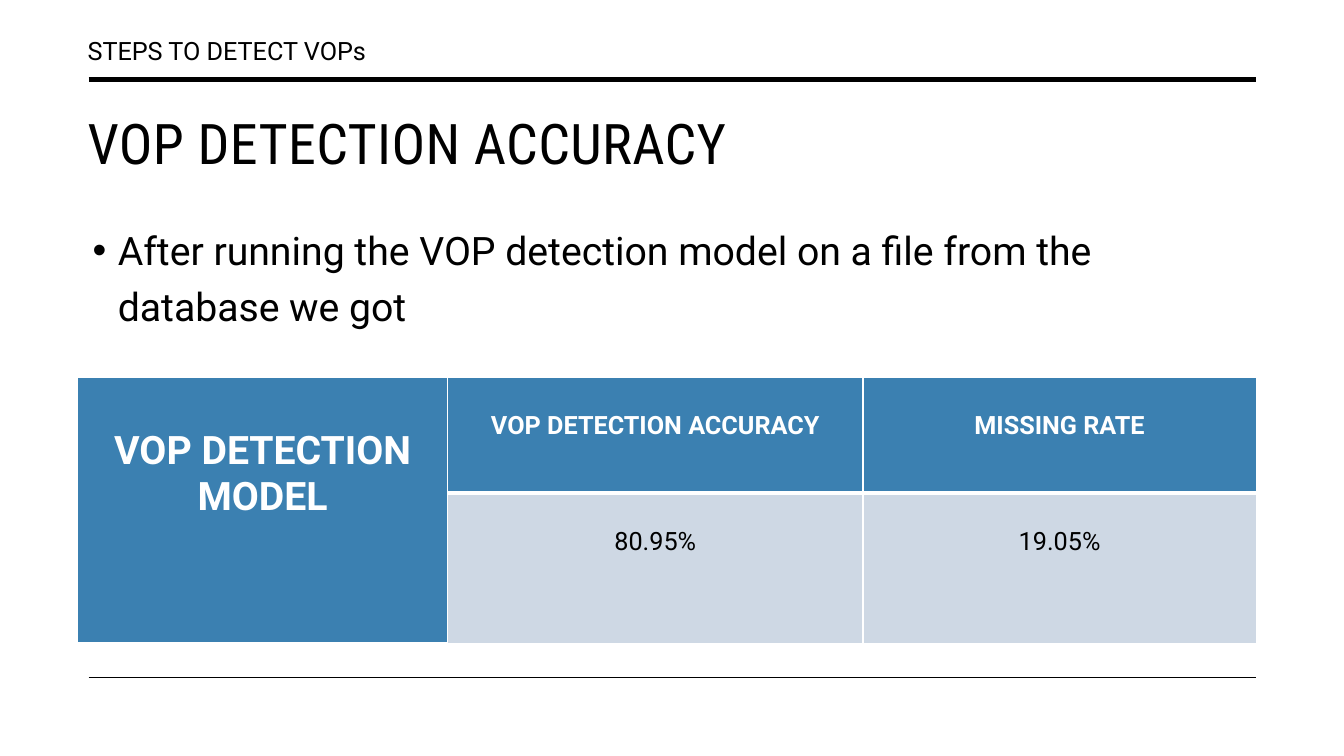
"""Build the VOP detection accuracy slide."""
from dataclasses import dataclass

from lxml.etree import SubElement
from pptx import Presentation
from pptx.dml.color import RGBColor
from pptx.enum.shapes import MSO_CONNECTOR
from pptx.enum.text import MSO_ANCHOR, PP_ALIGN
from pptx.oxml.ns import qn
from pptx.util import Inches, Pt


@dataclass(frozen=True)
class Theme:
    ink: RGBColor = RGBColor(0x00, 0x00, 0x00)
    paper: RGBColor = RGBColor(0xFF, 0xFF, 0xFF)
    header: RGBColor = RGBColor(0x3B, 0x80, 0xB1)
    value: RGBColor = RGBColor(0xCE, 0xD8, 0xE4)
    font: str = "Roboto"
    title_font: str = "Roboto Condensed"
    title_size: int = 40
    large_size: int = 28
    small_size: int = 18


class SlideBuilder:
    def __init__(self, page, theme):
        self.page = page
        self.theme = theme

    def rule(self, left, right, top, weight):
        line = self.page.shapes.add_connector(
            MSO_CONNECTOR.STRAIGHT, Inches(left), Inches(top), Inches(right), Inches(top))
        line.line.color.rgb = self.theme.ink
        line.line.width = Pt(weight)
        SubElement(line._element.spPr, qn("a:effectLst"))

    def style(self, para, size, color, font=None, bold=False):
        for span in para.runs:
            span.font.name = font or self.theme.font
            span.font.size = Pt(size)
            span.font.color.rgb = color
            span.font.bold = bold

    def text(self, words, left, top, width, height, size, font=None):
        box = self.page.shapes.add_textbox(
            Inches(left), Inches(top), Inches(width), Inches(height))
        box.text_frame.word_wrap = True
        box.text_frame.text = words
        para = box.text_frame.paragraphs[0]
        self.style(para, size, self.theme.ink, font)
        return para

    def title(self, words, left, top, width, height):
        para = self.text(words, left, top, width, height,
                         self.theme.title_size, self.theme.title_font)
        para.runs[0].font._element.set("spc", "30")

    def bullet(self, words, left, top, width, height):
        para = self.text(words, left, top, width, height, self.theme.large_size)
        para.line_spacing = 1.2
        para.space_before = Pt(10)
        properties = para._p.get_or_add_pPr()
        properties.set("marL", str(Inches(0.25)))
        properties.set("indent", str(Inches(-0.25)))
        SubElement(properties, qn("a:buFont"), typeface="Arial")
        SubElement(properties, qn("a:buChar"), char="•")

    def table(self, left, top, widths, heights):
        frame = self.page.shapes.add_table(
            len(heights), len(widths), Inches(left), Inches(top),
            Inches(sum(widths)), Inches(sum(heights)))
        for column, width in zip(frame.table.columns, widths):
            column.width = Inches(width)
        for row, height in zip(frame.table.rows, heights):
            row.height = Inches(height)
        return frame.table

    def cell(self, cell, words, size, drop, is_header=True):
        theme = self.theme
        cell.text_frame.text = words
        cell.vertical_anchor = MSO_ANCHOR.TOP
        cell.margin_top = Inches(drop)
        para = cell.text_frame.paragraphs[0]
        para.alignment = PP_ALIGN.CENTER
        self.style(para, size, theme.paper if is_header else theme.ink, bold=is_header)
        self.borders(cell, 3 if is_header else 1, 1 if is_header else 3)
        cell.fill.solid()
        cell.fill.fore_color.rgb = theme.header if is_header else theme.value

    def borders(self, cell, bottom, top):
        properties = cell._tc.get_or_add_tcPr()
        for side, weight in (("L", 1), ("R", 1), ("T", top), ("B", bottom)):
            edge = SubElement(properties, qn(f"a:ln{side}"), w=str(Pt(weight)))
            fill = SubElement(edge, qn("a:solidFill"))
            SubElement(fill, qn("a:srgbClr"), val=str(self.theme.paper))


def main():
    deck = Presentation()
    deck.slide_width, deck.slide_height = Inches(13.33), Inches(7.5)
    theme = Theme()
    slide = SlideBuilder(deck.slides.add_slide(deck.slide_layouts[6]), theme)

    for top, weight in ((0.79, 3.5), (6.72, 1)):
        slide.rule(0.88, 12.46, top, weight)
    slide.text("STEPS TO DETECT VOPs", 0.77, 0.3, 3.41, 0.4, theme.small_size)
    slide.title("VOP DETECTION ACCURACY", 0.77, 1.03, 11.69, 1)
    slide.bullet("After running the VOP detection model on a file from the database we got",
                 0.82, 2.1, 11.69, 1.26)

    table = slide.table(0.77, 3.74, (3.67, 4.12, 3.9), (1.15, 1.46))
    results = (("VOP DETECTION ACCURACY", "80.95%"), ("MISSING RATE", "19.05%"))
    for column, (heading, value) in enumerate(results, start=1):
        slide.cell(table.cell(0, column), heading, theme.small_size, 0.34)
        slide.cell(table.cell(1, column), value, theme.small_size, 0.34, is_header=False)
    model = table.cell(0, 0)
    model.merge(table.cell(1, 0))
    slide.cell(model, "VOP DETECTION MODEL", theme.large_size, 0.51)

    deck.save("out.pptx")


main()
